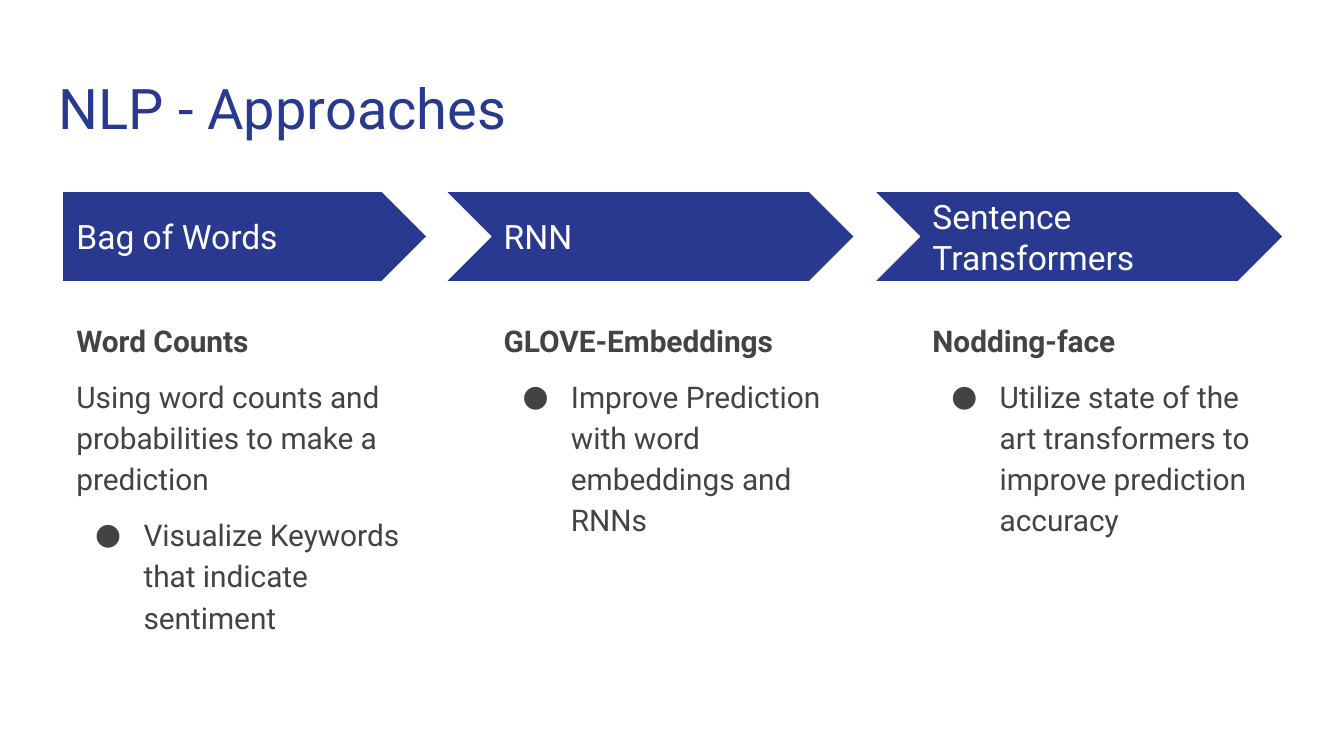
from lxml.etree import SubElement
from pptx import Presentation
from pptx.dml.color import RGBColor
from pptx.enum.lang import MSO_LANGUAGE_ID
from pptx.enum.shapes import MSO_SHAPE
from pptx.enum.text import MSO_ANCHOR
from pptx.oxml.ns import qn
from pptx.util import Inches, Pt

NAVY, GRAY, WHITE = "2A3990", "434343", "FFFFFF"
FONT = "Roboto"

# Left edge, arrow label, heading, plain paragraphs, bulleted paragraphs
STEPS = [
    (0.47, "Bag of Words", "Word Counts",
     ["Using word counts and probabilities to make a prediction"],
     ["Visualize Keywords that indicate sentiment"]),
    (3.65, "RNN", "GLOVE-Embeddings", [],
     ["Improve Prediction with word embeddings and RNNs"]),
    (6.84, "Sentence Transformers", "Nodding-face", [],
     ["Utilize state of the art transformers to improve prediction accuracy"]),
]


def color(value):
    return RGBColor.from_string(value)


def style(para, size, tone, bold=False):
    for run in para.runs:
        font = run.font
        font.name, font.size, font.bold = FONT, Pt(size), bold
        font.color.rgb = color(tone)
        font.language_id = MSO_LANGUAGE_ID.ENGLISH_US


def add_frame(slide, left, top, width, height, anchor=MSO_ANCHOR.TOP):
    box = slide.shapes.add_textbox(
        Inches(left), Inches(top), Inches(width), Inches(height))
    frame = box.text_frame
    frame.word_wrap = True
    frame.vertical_anchor = anchor
    frame.margin_left = frame.margin_right = Inches(0.1)
    frame.margin_top = frame.margin_bottom = Inches(0.1)
    return frame


def add_line(slide, text, size, tone, box, anchor=MSO_ANCHOR.TOP):
    frame = add_frame(slide, *box, anchor)
    frame.text = text
    style(frame.paragraphs[0], size, tone)


def add_bullet(para):
    props = para._p.get_or_add_pPr()
    props.set("marL", str(Inches(0.5)))
    props.set("indent", str(Inches(-0.36)))
    tint = SubElement(props, qn("a:buClr"))
    SubElement(tint, qn("a:srgbClr"), val=GRAY)
    SubElement(props, qn("a:buFont"), typeface=FONT)
    SubElement(props, qn("a:buChar"), char="●")


def add_arrow(slide, kind, left, top, width, height):
    arrow = slide.shapes.add_shape(
        kind, Inches(left), Inches(top), Inches(width), Inches(height))
    arrow.adjustments[0] = 0.5
    arrow.shadow.inherit = False
    arrow.fill.solid()
    arrow.fill.fore_color.rgb = color(NAVY)
    arrow.line.fill.background()


def add_details(slide, heading, plain, bullets, box):
    frame = add_frame(slide, *box)
    texts = [heading, *plain, *bullets]
    frame.text = "\n".join(texts)
    for index, para in enumerate(frame.paragraphs):
        para.line_spacing = 1.15
        para.space_before = Pt(8 if index else 0)
        style(para, 16, GRAY, bold=index == 0)
        if index > len(plain):
            add_bullet(para)


def add_step(slide, step, first, top, width):
    """Place one arrow with its label and the details below it."""
    left, label, heading, plain, bullets = step
    notch = 0 if first else 0.32
    kind = MSO_SHAPE.PENTAGON if first else MSO_SHAPE.CHEVRON
    add_arrow(slide, kind, left - notch, top, width + notch, 0.66)
    add_line(slide, label, 18, WHITE, (left, top + 0.16, 2.47, 0.34),
             MSO_ANCHOR.MIDDLE)
    add_details(slide, heading, plain, bullets, (left, top + 0.83, width, 2.9))


def main():
    deck = Presentation()
    deck.slide_width = Inches(10)
    deck.slide_height = deck.slide_width * 9 // 16
    slide = deck.slides.add_slide(deck.slide_layouts[6])
    add_line(slide, "NLP - Approaches", 30, NAVY, (0.34, 0.45, 9.32, 0.66))
    for index, step in enumerate(STEPS):
        add_step(slide, step, index == 0, 1.43, 2.7)
    deck.save("out.pptx")


if __name__ == "__main__":
    main()
